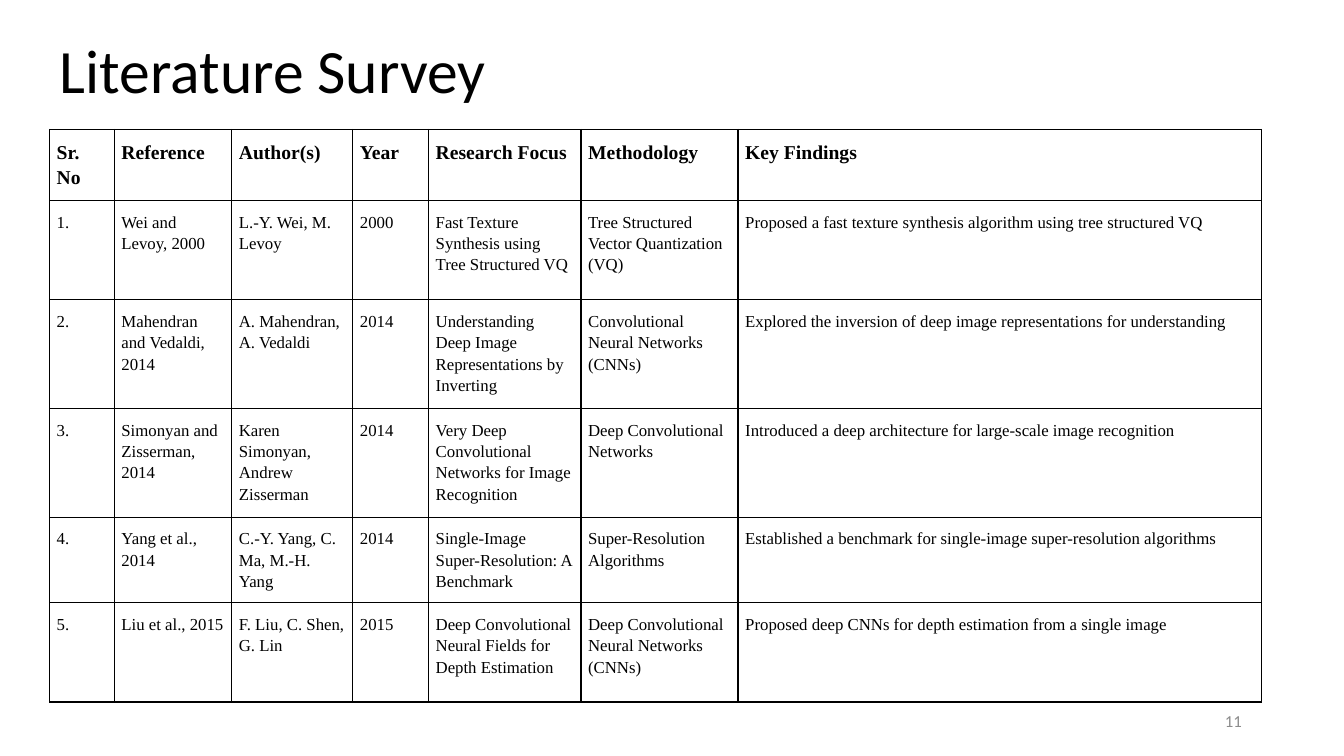
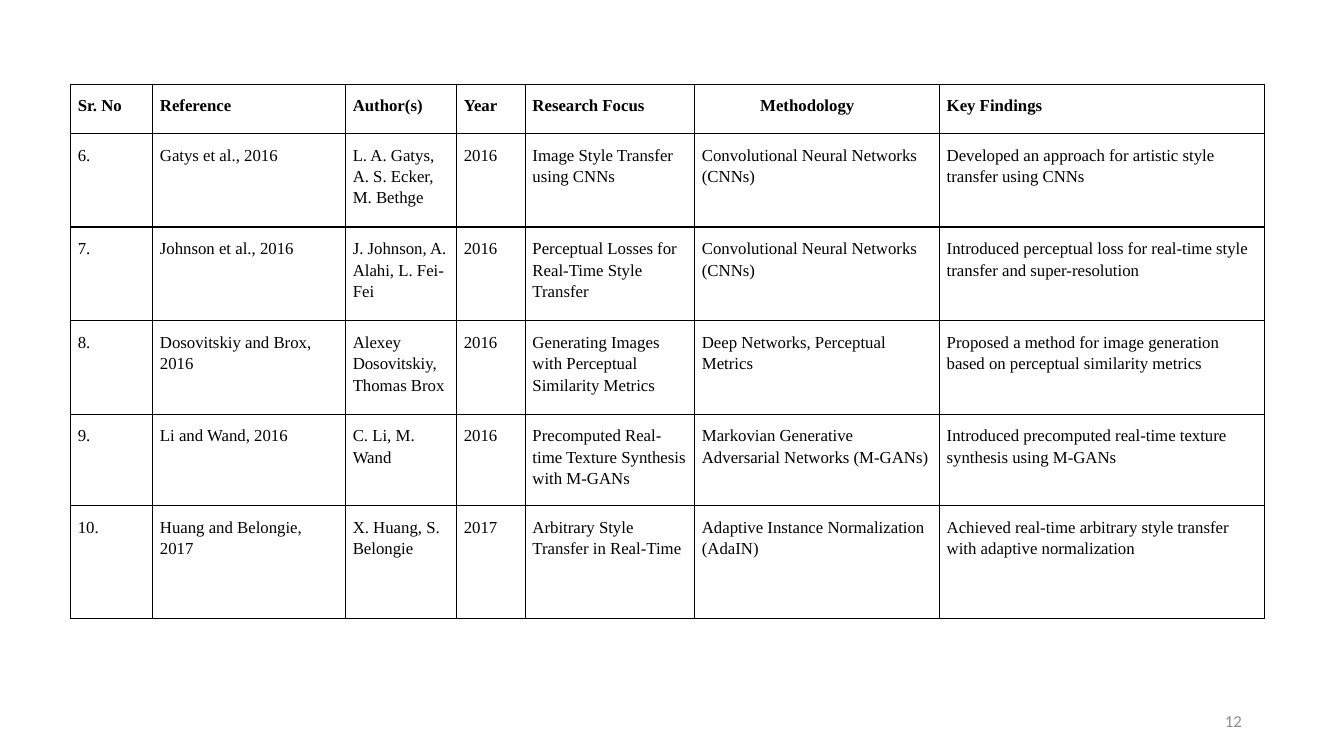
import pptx
import pptx.dml.color
import pptx.enum.text
import pptx.oxml
import pptx.oxml.ns
import pptx.util

Cm = pptx.util.Cm
Pt = pptx.util.Pt
RGBColor = pptx.dml.color.RGBColor
PP_ALIGN = pptx.enum.text.PP_ALIGN
MSO_ANCHOR = pptx.enum.text.MSO_ANCHOR

BLACK = RGBColor(0x00, 0x00, 0x00)
GRAY = RGBColor(0x8C, 0x8C, 0x8C)
SANS = "Calibri"
SERIF = "Times New Roman"
TITLE_ONLY, BLANK = 5, 6
TITLE_BOX = (1.25, 0, 29.21, 3.7)
NUMBER_BOX = (23.93, 17.65, 7.62, 1.02)
BORDER_WIDTH = Pt(0.96)
SIDE_MARGIN, TOP_MARGIN, BOTTOM_MARGIN = Cm(0.18), Cm(0.25), Cm(0.12)
METHODOLOGY_INDENT = Cm(1.65)

HEADINGS = ("Sr. No", "Reference", "Author(s)", "Year", "Research Focus",
            "Methodology", "Key Findings")

EARLY_STUDIES = [
    ("1.", "Wei and Levoy, 2000", "L.-Y. Wei, M. Levoy", "2000",
     "Fast Texture Synthesis using Tree Structured VQ",
     "Tree Structured Vector Quantization (VQ)",
     "Proposed a fast texture synthesis algorithm using tree structured VQ"),
    ("2.", "Mahendran and Vedaldi, 2014", "A. Mahendran, A. Vedaldi", "2014",
     "Understanding Deep Image Representations by Inverting",
     "Convolutional Neural Networks (CNNs)",
     "Explored the inversion of deep image representations for understanding"),
    ("3.", "Simonyan and Zisserman, 2014", "Karen Simonyan, Andrew Zisserman", "2014",
     "Very Deep Convolutional Networks for Image Recognition",
     "Deep Convolutional Networks",
     "Introduced a deep architecture for large-scale image recognition"),
    ("4.", "Yang et al., 2014", "C.-Y. Yang, C. Ma, M.-H. Yang", "2014",
     "Single-Image Super-Resolution: A Benchmark",
     "Super-Resolution Algorithms",
     "Established a benchmark for single-image super-resolution algorithms"),
    ("5.", "Liu et al., 2015", "F. Liu, C. Shen, G. Lin", "2015",
     "Deep Convolutional Neural Fields for Depth Estimation",
     "Deep Convolutional Neural Networks (CNNs)",
     "Proposed deep CNNs for depth estimation from a single image"),
]

LATER_STUDIES = [
    ("6.", "Gatys et al., 2016", "L. A. Gatys, A. S. Ecker, M. Bethge", "2016",
     "Image Style Transfer using CNNs",
     "Convolutional Neural Networks (CNNs)",
     "Developed an approach for artistic style transfer using CNNs"),
    ("7.", "Johnson et al., 2016", "J. Johnson, A. Alahi, L. Fei-Fei", "2016",
     "Perceptual Losses for Real-Time Style Transfer",
     "Convolutional Neural Networks (CNNs)",
     "Introduced perceptual loss for real-time style transfer and super-resolution"),
    ("8.", "Dosovitskiy and Brox, 2016", "Alexey Dosovitskiy, Thomas Brox", "2016",
     "Generating Images with Perceptual Similarity Metrics",
     "Deep Networks, Perceptual Metrics",
     "Proposed a method for image generation based on perceptual similarity metrics"),
    ("9.", "Li and Wand, 2016", "C. Li, M. Wand", "2016",
     "Precomputed Real-time Texture Synthesis with M-GANs",
     "Markovian Generative Adversarial Networks (M-GANs)",
     "Introduced precomputed real-time texture synthesis using M-GANs"),
    ("10.", "Huang and Belongie, 2017", "X. Huang, S. Belongie", "2017",
     "Arbitrary Style Transfer in Real-Time",
     "Adaptive Instance Normalization (AdaIN)",
     "Achieved real-time arbitrary style transfer with adaptive normalization"),
]


def write(frame, text, *, size, font=SERIF, color=BLACK, bold=False,
          align=PP_ALIGN.LEFT, spacing=1.0):
    frame.word_wrap = True
    paragraph = frame.paragraphs[0]
    paragraph.alignment = align
    paragraph.line_spacing = spacing
    run = paragraph.add_run()
    run.text = text
    run.font.name = font
    run.font.size = Pt(size)
    run.font.bold = bold
    run.font.color.rgb = color


def outline_cell(cell):
    properties = cell._tc.get_or_add_tcPr()
    for position, side in enumerate(("lnL", "lnR", "lnT", "lnB")):
        properties.insert(position, pptx.oxml.parse_xml(
            f'<a:{side} {pptx.oxml.ns.nsdecls("a")} w="{BORDER_WIDTH}">'
            f'<a:solidFill><a:srgbClr val="{BLACK}"/></a:solidFill></a:{side}>'))


def add_title(slide, text, box):
    title = slide.shapes.title
    title.left, title.top, title.width, title.height = map(Cm, box)
    title.text_frame.auto_size = pptx.enum.text.MSO_AUTO_SIZE.NONE
    title.text_frame.vertical_anchor = MSO_ANCHOR.MIDDLE
    write(title.text_frame, text, size=44, font=SANS, spacing=0.9)


def add_page_number(slide, number, box):
    frame = slide.shapes.add_textbox(*map(Cm, box)).text_frame
    frame.vertical_anchor = MSO_ANCHOR.MIDDLE
    write(frame, str(number), size=12, font=SANS, color=GRAY, align=PP_ALIGN.RIGHT)


def add_survey(slide, studies, left, top, widths, heights, heading_size):
    survey = slide.shapes.add_table(
        len(heights), len(widths), Cm(left), Cm(top),
        Cm(sum(widths)), Cm(sum(heights))).table
    survey.first_row = survey.horz_banding = False
    for column, width in zip(survey.columns, widths):
        column.width = Cm(width)
    for row, height, entries in zip(survey.rows, heights, [HEADINGS, *studies]):
        row.height = Cm(height)
        is_heading = entries is HEADINGS
        for cell, entry in zip(row.cells, entries):
            cell.margin_left = cell.margin_right = SIDE_MARGIN
            cell.margin_top, cell.margin_bottom = TOP_MARGIN, BOTTOM_MARGIN
            cell.fill.background()
            outline_cell(cell)
            write(cell.text_frame, entry, size=heading_size if is_heading else 12,
                  bold=is_heading, spacing=1.15)
    return survey


def add_slide(deck, layout, number):
    slide = deck.slides.add_slide(deck.slide_layouts[layout])
    add_page_number(slide, number, NUMBER_BOX)
    return slide


def main():
    deck = pptx.Presentation()
    deck.slide_width, deck.slide_height = Cm(33.87), Cm(19.05)

    opening = add_slide(deck, TITLE_ONLY, 11)
    add_title(opening, "Literature Survey", TITLE_BOX)
    add_survey(opening, EARLY_STUDIES, 1.25, 3.26,
               (1.63, 2.96, 3.05, 1.91, 3.84, 3.96, 13.2),
               (1.79, 2.5, 2.74, 2.74, 2.16, 2.5), heading_size=14)

    continuation = add_slide(deck, BLANK, 12)
    later_survey = add_survey(continuation, LATER_STUDIES, 1.78, 2.12,
                              (2.07, 4.86, 2.8, 1.73, 4.27, 6.17, 8.18),
                              (1.24, 2.36, 2.36, 2.36, 2.3, 2.84), heading_size=12)
    methodology = later_survey.cell(0, HEADINGS.index("Methodology"))
    methodology.margin_left = METHODOLOGY_INDENT

    deck.save("out.pptx")


if __name__ == "__main__":
    main()
